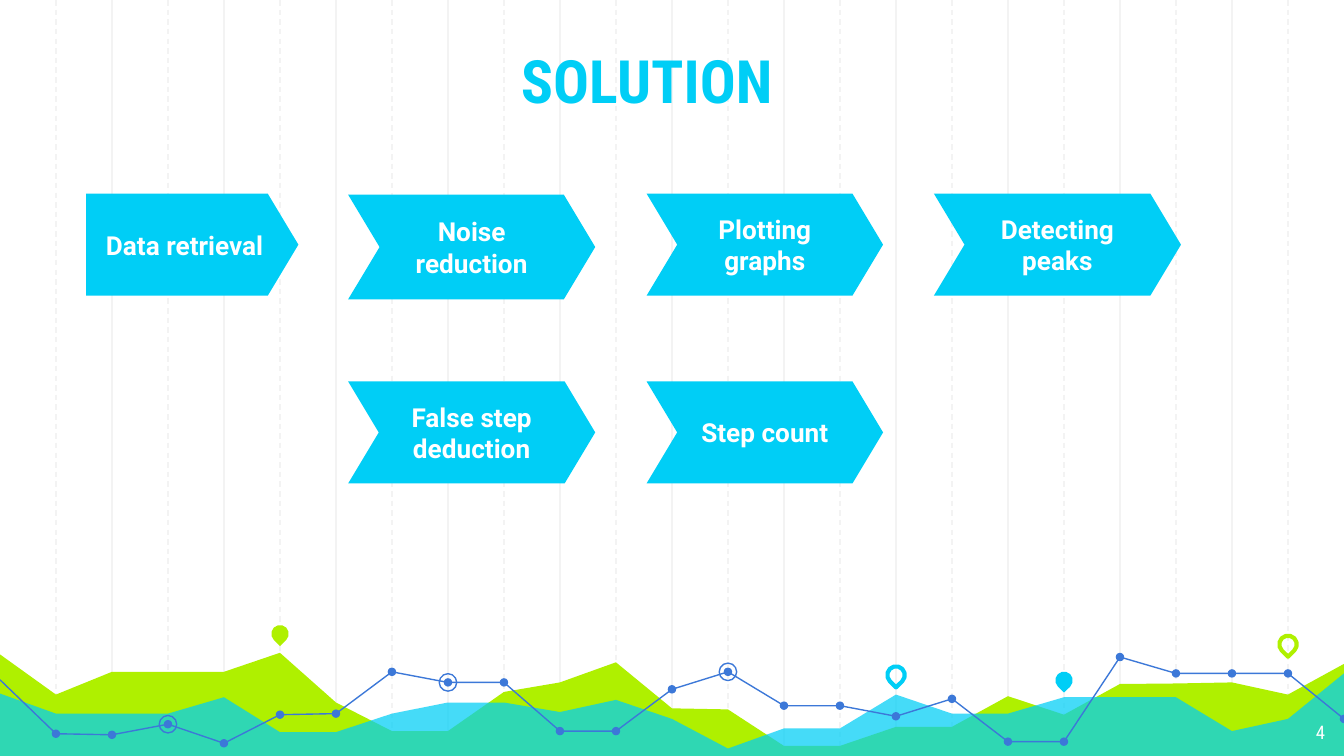
from pptx import Presentation
from pptx.dml.color import RGBColor
from pptx.enum.dml import MSO_LINE
from pptx.enum.shapes import MSO_CONNECTOR, MSO_SHAPE as SHAPE
from pptx.enum.text import MSO_ANCHOR as ANCHOR, PP_ALIGN as ALIGN
from pptx.oxml.ns import qn
from pptx.util import Cm, Pt
from lxml import etree

CYAN, LIME, BLUE, GRID, WHITE = "00CEF6", "AFF000", "3C78D8", "F3F3F3", "FFFFFF"
COLUMN = 25.4 / 24  # spacing of the vertical grid, in cm
BOTTOM = 14.35

# Heights in cm, one for each grid column from 0 to 24
LIME_HILLS = [12.37, 13.13, 12.7, 12.7, 12.7, 12.34, 13.28, 13.82, 13.82,
              13.08, 12.9, 12.52, 13.39, 13.41, 14.1, 14.1, 13.74, 13.74,
              13.16, 13.51, 12.93, 12.92, 12.9, 13.13, 12.55]
CYAN_HILLS = [13.11, 13.49, 13.49, 13.49, 13.18, 13.84, 13.84, 13.49, 13.28,
              13.28, 13.46, 13.23, 13.59, 14.15, 13.77, 13.77, 13.13, 13.49,
              13.49, 13.18, 13.18, 13.18, 13.82, 13.59, 12.73]
TREND = [12.85, 13.87, 13.89, 13.69, 14.05, 13.51, 13.49, 12.7, 12.9,
         12.9, 13.82, 13.82, 13.03, 12.7, 13.34, 13.34, 13.54, 13.21,
         14.02, 14.02, 12.42, 12.73, 12.73, 12.73, 13.59]
TREND_PARTS = [(0, 11), (11, 20), (20, 24)]
RINGED_COLUMNS = [3, 8, 13]
# Column, height, colour, filled
PINS = [(5, 11.98, LIME, True), (16, 12.76, CYAN, False),
        (19, 12.86, CYAN, True), (23, 12.18, LIME, False)]

# Text, left, top, width, height
STEPS = [("Data retrieval", 1.63, 3.66, 4.01, 1.93),
         ("Noise reduction", 6.58, 3.68, 4.67, 1.98),
         ("Plotting graphs", 12.22, 3.66, 4.47, 1.93),
         ("Detecting peaks", 17.65, 3.66, 4.67, 1.93),
         ("False step deduction", 6.58, 7.21, 4.67, 1.93),
         ("Step count", 12.22, 7.21, 4.47, 1.93)]


def rgb(color):
    return RGBColor.from_string(color)


def paint(shape, fill=None, line=None, weight=0.75):
    shape.shadow.inherit = False
    if fill:
        shape.fill.solid()
        shape.fill.fore_color.rgb = rgb(fill)
    else:
        shape.fill.background()
    if line:
        shape.line.color.rgb = rgb(line)
        shape.line.width = Pt(weight)
    else:
        shape.line.fill.background()


def write(shape, text, font, size, color, bold=False,
          align=ALIGN.CENTER, anchor=ANCHOR.MIDDLE):
    frame = shape.text_frame
    frame.text = text
    frame.word_wrap = True
    frame.vertical_anchor = anchor
    frame.margin_left = frame.margin_right = Cm(0.25)
    frame.margin_top = frame.margin_bottom = Cm(0.25)
    paragraph = frame.paragraphs[0]
    paragraph.alignment = align
    for run in paragraph.runs:
        run.font.name = font
        run.font.size = Pt(size)
        run.font.bold = bold
        run.font.color.rgb = rgb(color)


def add_label(slide, box, text, size, color, **style):
    label = slide.shapes.add_textbox(*[Cm(v) for v in box])
    write(label, text, "Roboto Condensed", size, color, **style)


def add_grid_line(slide, column):
    x = Cm(column * COLUMN)
    grid_line = slide.shapes.add_connector(
        MSO_CONNECTOR.STRAIGHT, x, Cm(0), x, Cm(BOTTOM))
    grid_line.line.color.rgb = rgb(GRID)
    grid_line.line.width = Pt(0.75)
    if column % 2:
        grid_line.line.dash_style = MSO_LINE.DASH
    etree.SubElement(grid_line._element.spPr, qn("a:effectLst"))


def add_path(slide, points, close):
    corners = [(Cm(x), Cm(y)) for x, y in points]
    builder = slide.shapes.build_freeform(*corners[0])
    builder.add_line_segments(corners[1:], close=close)
    return builder.convert_to_shape()


def add_hills(slide, heights, color, opacity=100):
    ridge = [(i * COLUMN, y) for i, y in enumerate(heights)]
    hills = add_path(slide, ridge + [(25.4, BOTTOM), (0, BOTTOM)], True)
    paint(hills, fill=color)
    if opacity < 100:
        tint = hills._element.spPr.find(".//" + qn("a:srgbClr"))
        etree.SubElement(tint, qn("a:alpha"), val=str(opacity * 1000))


def add_mark(slide, kind, column, y, size, **look):
    mark = slide.shapes.add_shape(
        kind, Cm(column * COLUMN - size / 2), Cm(y - size / 2),
        Cm(size), Cm(size))
    paint(mark, **look)
    return mark


def add_pin(slide, column, y, color, filled):
    look = {"fill": color} if filled else {"line": color, "weight": 2.25}
    pin = add_mark(slide, SHAPE.TEAR, column, y, 0.33, **look)
    pin.rotation = 135


def add_trend(slide):
    for first, last in TREND_PARTS:
        points = [(i * COLUMN, TREND[i]) for i in range(first, last + 1)]
        paint(add_path(slide, points, False), line=BLUE)
    for column, y in enumerate(TREND[1:], start=1):
        add_mark(slide, SHAPE.OVAL, column, y, 0.16, fill=BLUE)
    for column in RINGED_COLUMNS:
        add_mark(slide, SHAPE.OVAL, column, TREND[column], 0.33, line=BLUE)


def add_step(slide, kind, text, *box):
    step = slide.shapes.add_shape(kind, *[Cm(v) for v in box])
    step.adjustments[0] = 0.3
    paint(step, fill=CYAN)
    write(step, text, "Roboto", 14, WHITE, bold=True)


def main():
    deck = Presentation()
    deck.slide_width, deck.slide_height = Cm(25.4), Cm(14.29)
    slide = deck.slides.add_slide(deck.slide_layouts[6])

    # Background grid
    for column in range(1, 24):
        add_grid_line(slide, column)

    # Landscape with trend line and pins
    add_hills(slide, LIME_HILLS, LIME)
    add_hills(slide, CYAN_HILLS, CYAN, opacity=73)
    add_trend(slide)
    for pin in PINS:
        add_pin(slide, *pin)

    # Title and slide number
    add_label(slide, (2.51, 0.46, 19.43, 1.98), "SOLUTION", 32, CYAN,
              bold=True, anchor=ANCHOR.BOTTOM)
    add_label(slide, (23.77, 13.41, 1.52, 0.89), "4", 10, WHITE,
              align=ALIGN.RIGHT, anchor=ANCHOR.TOP)

    # Process steps
    for index, step in enumerate(STEPS):
        add_step(slide, SHAPE.CHEVRON if index else SHAPE.PENTAGON, *step)

    deck.save("out.pptx")


if __name__ == "__main__":
    main()
